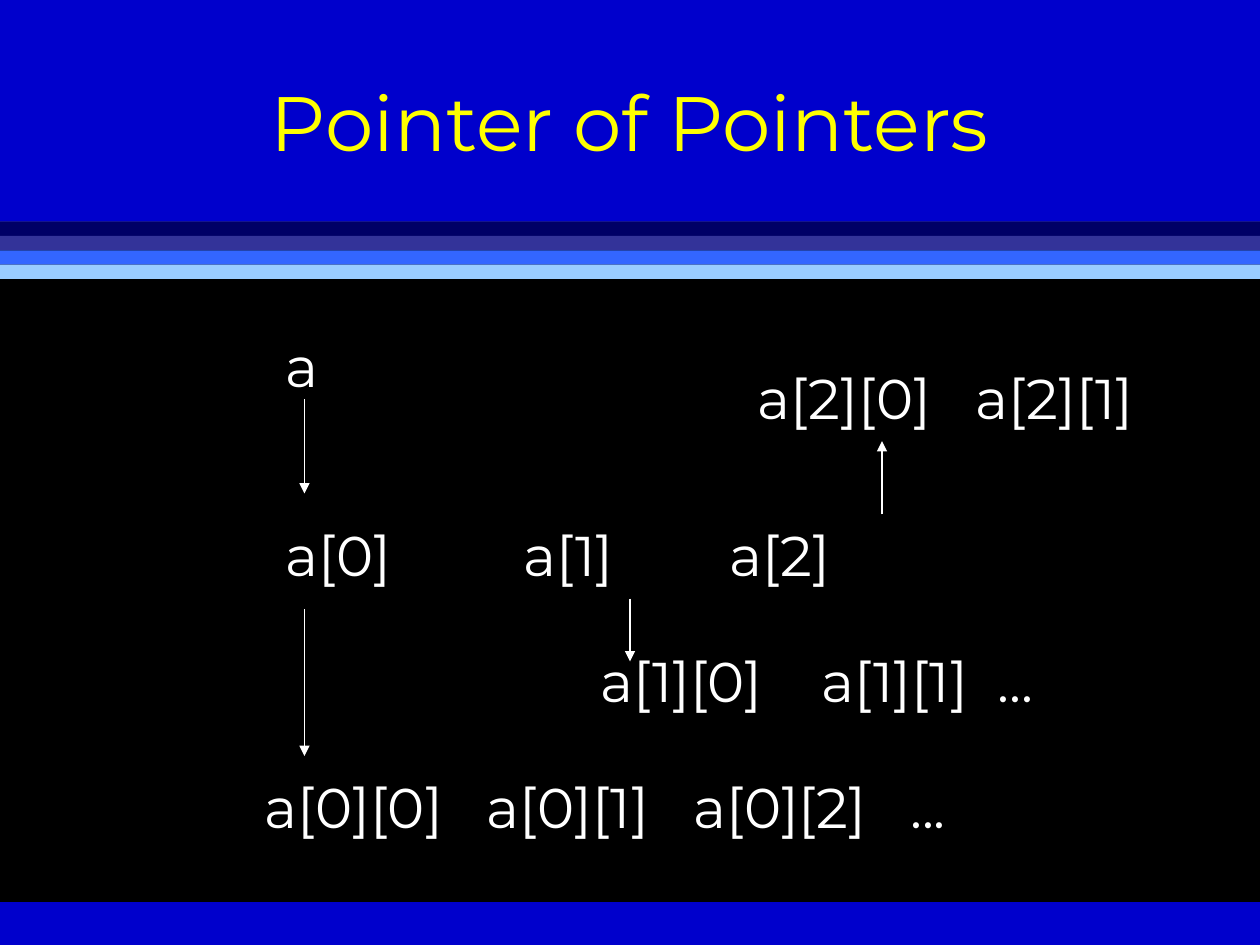
from pptx import Presentation
from pptx.dml.color import RGBColor
from pptx.enum.shapes import MSO_CONNECTOR, MSO_SHAPE
from pptx.enum.text import MSO_ANCHOR, MSO_AUTO_SIZE, PP_ALIGN
from pptx.oxml.ns import qn
from pptx.util import Pt
from lxml.etree import SubElement

BLACK = RGBColor(0x00, 0x00, 0x00)
BLUE = RGBColor(0x00, 0x00, 0xCC)
GRAY = RGBColor(0x96, 0x96, 0x96)
WHITE = RGBColor(0xFF, 0xFF, 0xFF)
YELLOW = RGBColor(0xFF, 0xFF, 0x00)
STRIPES = [RGBColor(0x00, 0x00, 0x66), RGBColor(0x33, 0x33, 0x99),
           RGBColor(0x33, 0x66, 0xFF), RGBColor(0x99, 0xCC, 0xFF)]
FONT = "Montserrat"
WIDTH, HEIGHT = 720, 540
HEADER_HEIGHT, STRIPE_HEIGHT = 126.72, 8.16
FOOTER_TOP = 515.5

POINTER_ROWS = [
    ((156, 186, 60, 46), ["a"], []),
    ((156, 294, 408, 46), ["a[0]", "a[1]", "a[2]"], [136, 254]),
    ((144, 438, 552, 46), ["a[0][0]", "a[0][1]", "a[0][2]", "..."], [127, 245, 369]),
    ((336, 366, 384, 46), ["a[1][0]", "a[1][1]", "..."], [126.4, 227]),
    ((426, 204, 294, 46), ["a[2][0]", "a[2][1]"], [124.6]),
]
ARROWS = [(174, 228, 282), (174, 348, 432), (360, 342, 378), (504, 294, 252)]


def set_font(paragraph, size, color):
    for name, value in {"name": FONT, "size": Pt(size), "bold": False}.items():
        setattr(paragraph.font, name, value)
    paragraph.font.color.rgb = color


def add_backdrop(slide, width, height):
    layout_tree = slide.slide_layout.shapes._spTree
    bands = [(HEADER_HEIGHT, height - HEADER_HEIGHT, BLACK),
             (FOOTER_TOP, height - FOOTER_TOP, BLUE),
             (0, HEADER_HEIGHT, BLUE)]
    bands += [(HEADER_HEIGHT + i * STRIPE_HEIGHT, STRIPE_HEIGHT, color)
              for i, color in enumerate(STRIPES)]
    for order, (top, band_height, color) in enumerate(bands):
        band = slide.shapes.add_shape(MSO_SHAPE.RECTANGLE, 0, Pt(top), Pt(width), Pt(band_height))
        band.shadow.inherit = False
        band.fill.solid()
        band.fill.fore_color.rgb = color
        band.line.fill.background()
        layout_tree.insert(2 + order, band._element)


def place_title(slide, left, top, width, height):
    title = slide.shapes.title
    box = {"left": left, "top": top, "width": width, "height": height}
    for name, value in box.items():
        setattr(title, name, Pt(value))
    title.text_frame.text = "Pointer of Pointers"
    title.text_frame.vertical_anchor = MSO_ANCHOR.MIDDLE
    heading = title.text_frame.paragraphs[0]
    heading.alignment = PP_ALIGN.CENTER
    set_font(heading, 44, YELLOW)


def add_pointer_row(slide, box, pointers, stops):
    row = slide.shapes.add_textbox(*map(Pt, box)).text_frame
    row.word_wrap = True
    row.auto_size = MSO_AUTO_SIZE.SHAPE_TO_FIT_TEXT
    row.text = "\t".join(pointers)
    line = row.paragraphs[0]
    if stops:
        tabs = SubElement(line._p.get_or_add_pPr(), qn("a:tabLst"))
        for stop in stops:
            SubElement(tabs, qn("a:tab"), pos=str(Pt(stop)), algn="l")
    set_font(line, 32, WHITE)


def add_arrow(slide, x, start, end):
    arrow = slide.shapes.add_connector(MSO_CONNECTOR.STRAIGHT, Pt(x), Pt(start), Pt(x), Pt(end))
    arrow.line.color.rgb = WHITE
    arrow.line.width = Pt(0.75)
    SubElement(arrow.line._get_or_add_ln(), qn("a:tailEnd"), type="triangle")
    SubElement(arrow._element.spPr, qn("a:effectLst"))


def main():
    deck = Presentation()
    deck.slide_width, deck.slide_height = Pt(WIDTH), Pt(HEIGHT)
    slide = deck.slides.add_slide(deck.slide_layouts[5])
    slide.background.fill.solid()
    slide.background.fill.fore_color.rgb = GRAY
    add_backdrop(slide, WIDTH, HEIGHT)
    place_title(slide, 54, 24, 612, 90)
    for box, pointers, stops in POINTER_ROWS:
        add_pointer_row(slide, box, pointers, stops)
    for x, start, end in ARROWS:
        add_arrow(slide, x, start, end)
    deck.save("out.pptx")


if __name__ == "__main__":
    main()
